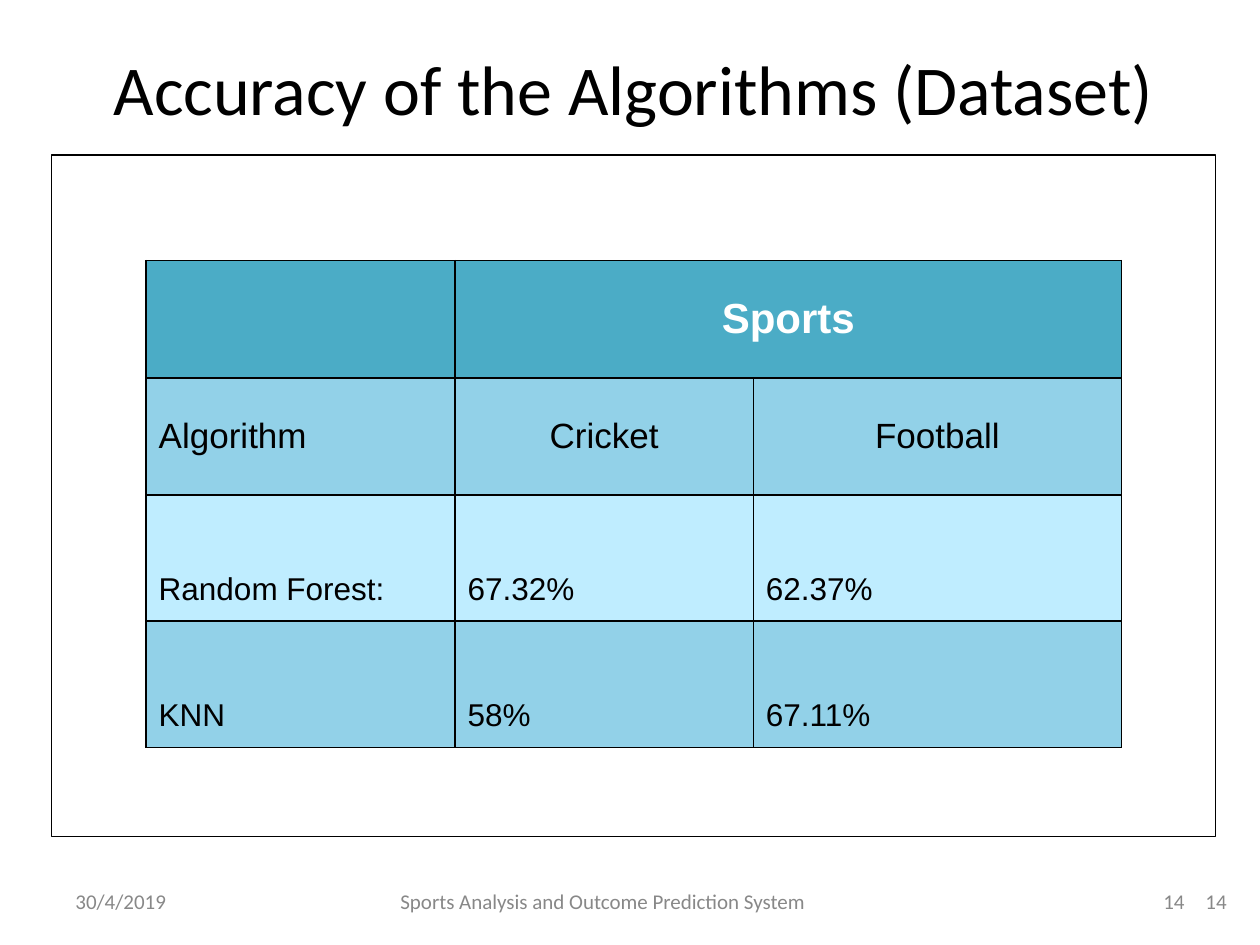
import pptx
import pptx.dml.color
import pptx.enum.shapes
import pptx.enum.text
import pptx.oxml
import pptx.oxml.ns
import pptx.util

Pt = pptx.util.Pt
ALIGN = pptx.enum.text.PP_ALIGN
ANCHOR = pptx.enum.text.MSO_ANCHOR

COLORS = {
    "ink": "000000",
    "footer": "888888",
    "header": "4BACC6",
    "header_text": "FFFFFF",
    "band": "92D1E8",
    "light": "BFEDFF",
}
COLUMN_WIDTHS = [176.5, 170.5, 210.5]
ROW_HEIGHT = 67
ACCURACY = [
    ["", "Sports", ""],
    ["Algorithm", "Cricket", "Football"],
    ["Random Forest:", "67.32%", "62.37%"],
    ["KNN", "58%", "67.11%"],
]
ROW_STYLES = [
    {"fill": "header", "size": 24, "color": "header_text", "bold": True},
    {"fill": "band", "size": 20},
    {"fill": "light", "size": 18, "spacing": 3},
    {"fill": "band", "size": 18, "spacing": 3},
]


def rgb(name):
    return pptx.dml.color.RGBColor.from_string(COLORS[name])


def add_run(paragraph, text, font, size, color, bold=False):
    run = paragraph.add_run()
    run.text = text
    run.font.name = font
    run.font.size = Pt(size)
    run.font.bold = bold
    run.font.color.rgb = rgb(color)


def add_label(slide, text, box, size, color, align):
    frame = slide.shapes.add_textbox(*map(Pt, box)).text_frame
    frame.word_wrap = True
    frame.vertical_anchor = ANCHOR.MIDDLE
    paragraph = frame.paragraphs[0]
    paragraph.alignment = align
    add_run(paragraph, text, "Calibri", size, color)


def add_frame(slide, box):
    frame = slide.shapes.add_shape(
        pptx.enum.shapes.MSO_SHAPE.RECTANGLE, *map(Pt, box))
    frame.shadow.inherit = False
    frame.fill.background()
    frame.line.color.rgb = rgb("ink")
    frame.line.width = Pt(0.75)


def add_borders(cell):
    properties = cell._tc.get_or_add_tcPr()
    for side in "LRTB":
        properties.append(pptx.oxml.parse_xml(
            f'<a:ln{side} {pptx.oxml.ns.nsdecls("a")} w="{Pt(1)}"><a:solidFill>'
            f'<a:srgbClr val="{COLORS["ink"]}"/></a:solidFill></a:ln{side}>'))


def fill_cell(cell, text, align, fill, size, color="ink", bold=False, spacing=None):
    add_borders(cell)
    cell.fill.solid()
    cell.fill.fore_color.rgb = rgb(fill)
    cell.vertical_anchor = ANCHOR.TOP if spacing else ANCHOR.MIDDLE
    if text:
        paragraph = cell.text_frame.paragraphs[0]
        paragraph.alignment = align
        paragraph.line_spacing = spacing
        add_run(paragraph, text, "Arial", size, color, bold)


def add_accuracy_table(slide, left, top):
    table = slide.shapes.add_table(
        len(ACCURACY), len(COLUMN_WIDTHS), Pt(left), Pt(top),
        Pt(sum(COLUMN_WIDTHS)), Pt(ROW_HEIGHT * len(ACCURACY))).table
    for column, width in zip(table.columns, COLUMN_WIDTHS):
        column.width = Pt(width)
    table.cell(0, 1).merge(table.cell(0, 2))
    for r, (texts, style) in enumerate(zip(ACCURACY, ROW_STYLES)):
        table.rows[r].height = Pt(ROW_HEIGHT)
        for c, text in enumerate(texts):
            align = ALIGN.CENTER if r < 2 and c > 0 else ALIGN.LEFT
            fill_cell(table.cell(r, c), text, align, **style)


def add_footer(slide, text, left, width, align):
    add_label(slide, text, (left, 500.5, width, 28.75), 12, "footer", align)


def main():
    deck = pptx.Presentation()
    deck.slide_width, deck.slide_height = Pt(720), Pt(540)
    slide = deck.slides.add_slide(deck.slide_layouts[6])

    add_label(slide, "Accuracy of the Algorithms (Dataset)",
              (29.5, 16.5, 665, 67), 40, "ink", ALIGN.CENTER)
    add_footer(slide, "14", 516, 168, ALIGN.RIGHT)
    add_footer(slide, "30/4/2019", 36, 168, ALIGN.LEFT)
    add_footer(slide, "Sports Analysis and Outcome Prediction System",
               199.5, 290, ALIGN.CENTER)
    add_footer(slide, "14", 540, 168, ALIGN.RIGHT)
    add_frame(slide, (29.5, 88.5, 665, 389.5))
    add_accuracy_table(slide, 83.5, 149)

    deck.save("out.pptx")


if __name__ == "__main__":
    main()
